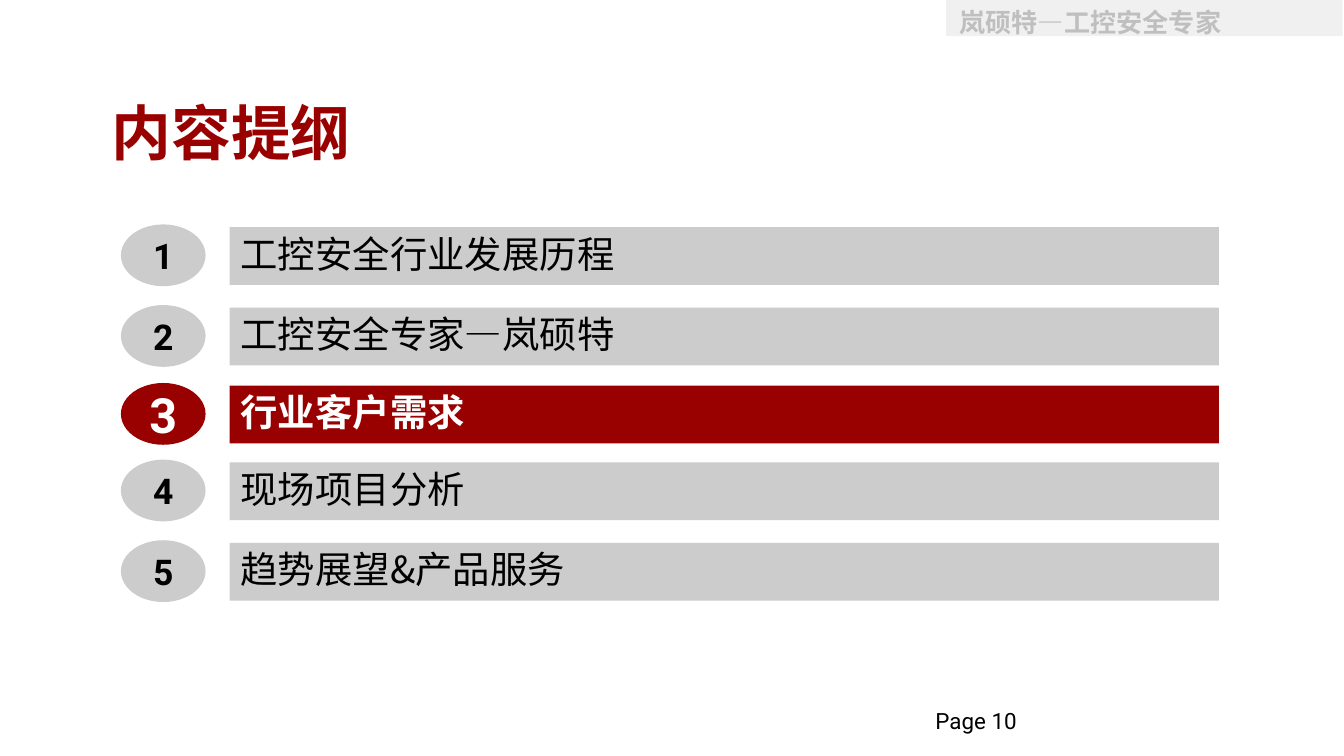
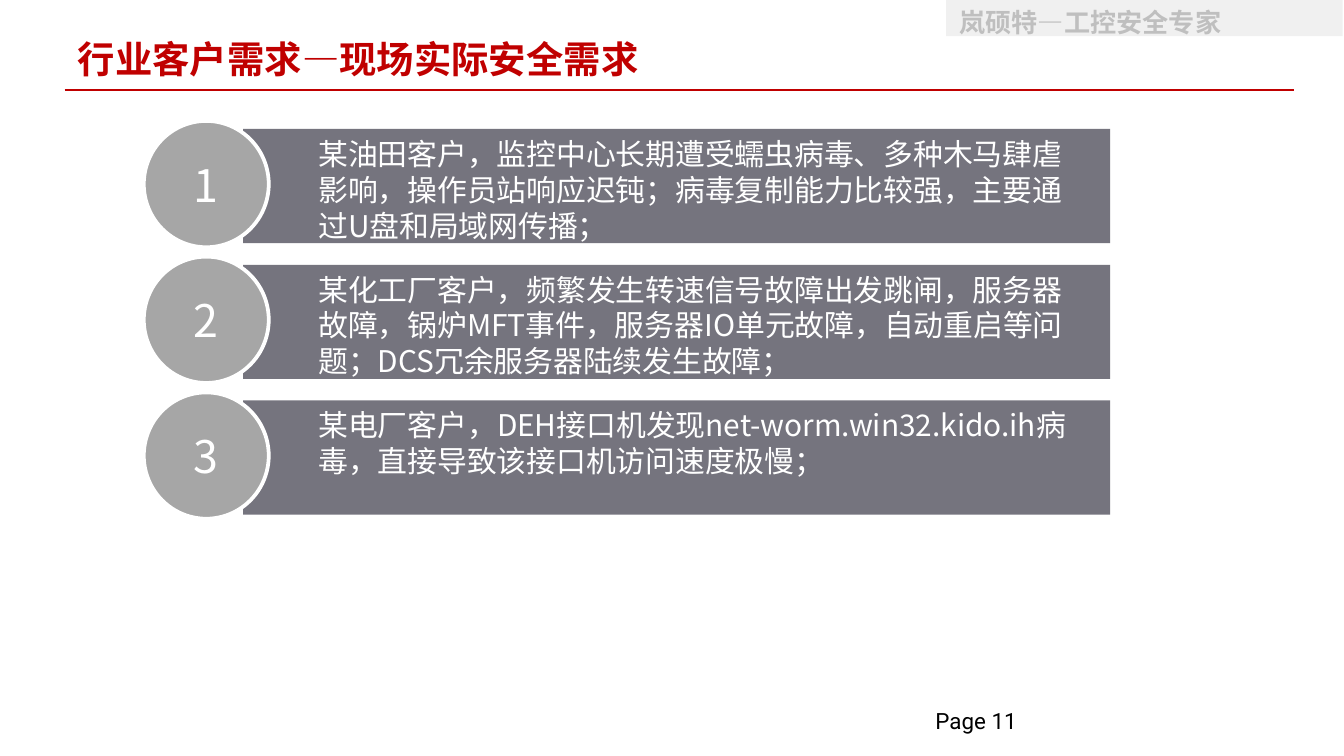
from dataclasses import dataclass

from lxml import etree
from pptx import Presentation
from pptx.dml.color import RGBColor
from pptx.enum.shapes import MSO_CONNECTOR, MSO_SHAPE
from pptx.enum.text import MSO_ANCHOR, PP_ALIGN
from pptx.oxml.ns import qn
from pptx.shapes.autoshape import Shape
from pptx.slide import Slide
from pptx.util import Inches, Pt

RECTANGLE, OVAL = MSO_SHAPE.RECTANGLE, MSO_SHAPE.OVAL
STRAIGHT = MSO_CONNECTOR.STRAIGHT
TOP, MIDDLE = MSO_ANCHOR.TOP, MSO_ANCHOR.MIDDLE
LEFT, CENTER = PP_ALIGN.LEFT, PP_ALIGN.CENTER

SLIDE_WIDTH = 10
SLIDE_HEIGHT = SLIDE_WIDTH * 9 / 16
CJK, LATIN = "Noto Sans CJK SC", "Roboto"
COLORS = {
    "black": "000000",
    "white": "FFFFFF",
    "dark_red": "990000",
    "red": "C00000",
    "agenda_gray": "CCCCCC",
    "banner": "F0F0F0",
    "banner_text": "BFBFBF",
    "case_bar": "75747E",
    "case_badge": "A6A6A6",
}
BANNER_TEXT = "岚硕特—工控安全专家"
AGENDA = {
    "工控安全行业发展历程": 1.69,
    "工控安全专家—岚硕特": 2.29,
    "行业客户需求": 2.87,
    "现场项目分析": 3.44,
    "趋势展望&产品服务": 4.04,
}
CURRENT_TOPIC = 3
CASES = [
    "某油田客户，监控中心长期遭受蠕虫病毒、多种木马肆虐影响，操作员站响应迟钝；病毒复制能力比较强，主要通过U盘和局域网传播；",
    "某化工厂客户，频繁发生转速信号故障出发跳闸，服务器故障，锅炉MFT事件，服务器IO单元故障，自动重启等问题；DCS冗余服务器陆续发生故障；",
    "某电厂客户，DEH接口机发现net-worm.win32.kido.ih病毒，直接导致该接口机访问速度极慢；",
]
FIRST_CASE_TOP, CASE_PITCH = 0.96, 1.01


@dataclass(frozen=True)
class Box:
    left: float
    top: float
    width: float
    height: float

    def lengths(self) -> list[Inches]:
        return [Inches(side) for side in (self.left, self.top, self.width, self.height)]


@dataclass(frozen=True)
class TextStyle:
    size: int
    color: str
    font: str = CJK
    bold: bool = False
    align: PP_ALIGN = LEFT
    anchor: MSO_ANCHOR = TOP
    insets: tuple[float, float, float, float] = (0.1, 0.05, 0.1, 0.05)
    wrap: bool = True
    line_spacing: float = 1.0


AGENDA_INSETS = (0.08, 0.04, 0.08, 0.04)
BANNER_STYLE = TextStyle(14, "banner_text", bold=True)
PAGE_STYLE = TextStyle(12, "black", LATIN, insets=(0, 0, 0, 0), line_spacing=0.85)
AGENDA_TITLE_STYLE = TextStyle(32, "dark_red", bold=True, anchor=MIDDLE, insets=(0, 0.04, 0.09, 0.04))
CASE_TITLE_STYLE = TextStyle(20, "red", bold=True)
CASE_NUMBER_STYLE = TextStyle(24, "white", align=CENTER, anchor=MIDDLE)
CASE_TEXT_STYLE = TextStyle(16, "white")


def rgb(color: str) -> RGBColor:
    return RGBColor.from_string(COLORS[color])


def write_text(shape: Shape, text: str, style: TextStyle) -> None:
    frame = shape.text_frame
    frame.text = text
    frame.word_wrap = style.wrap
    frame.vertical_anchor = style.anchor
    frame.margin_left, frame.margin_top, frame.margin_right, frame.margin_bottom = map(Inches, style.insets)
    paragraph = frame.paragraphs[0]
    paragraph.alignment = style.align
    paragraph.line_spacing = style.line_spacing
    run = paragraph.runs[0]
    run.font.size = Pt(style.size)
    run.font.bold = style.bold
    run.font.color.rgb = rgb(style.color)
    run.font.name = style.font
    east_asian = etree.SubElement(run.font._element, qn("a:ea"))
    east_asian.set("typeface", style.font)


def add_text(shapes, box: Box, text: str, style: TextStyle) -> None:
    write_text(shapes.add_textbox(*box.lengths()), text, style)


def add_filled(shapes, kind: MSO_SHAPE, box: Box, fill: str) -> Shape:
    """Add a flat preset shape without an outline."""
    shape = shapes.add_shape(kind, *box.lengths())
    shape.shadow.inherit = False
    shape.fill.solid()
    shape.fill.fore_color.rgb = rgb(fill)
    shape.line.fill.background()
    return shape


def add_page(presentation: Presentation, number: int) -> Slide:
    """Add a blank slide carrying the shared banner and page number."""
    slide = presentation.slides.add_slide(presentation.slide_layouts[6])
    add_text(slide.shapes, Box(6.96, 5.29, 2.29, 0.37), f"Page {number}", PAGE_STYLE)
    banner = add_filled(slide.shapes, RECTANGLE, Box(7.04, 0, 2.95, 0.27), "banner")
    write_text(banner, BANNER_TEXT, BANNER_STYLE)
    return slide


def add_topic(slide: Slide, number: int, topic: str, top: float) -> None:
    current = number == CURRENT_TOPIC
    fill, color = ("dark_red", "white") if current else ("agenda_gray", "black")
    bar = add_filled(slide.shapes, RECTANGLE, Box(1.71, top, 7.36, 0.43), fill)
    write_text(bar, topic, TextStyle(20, color, bold=current, anchor=MIDDLE,
                                     insets=AGENDA_INSETS, wrap=False, line_spacing=0.9))
    badge = add_filled(slide.shapes, OVAL, Box(0.9, top - 0.02, 0.63, 0.46), fill)
    write_text(badge, str(number), TextStyle(26 if current else 19, color, LATIN, True,
                                             CENTER, MIDDLE, AGENDA_INSETS, False))


def add_case(slide: Slide, number: int, text: str, top: float) -> None:
    group = slide.shapes.add_group_shape()
    add_filled(group.shapes, RECTANGLE, Box(1.81, top, 6.45, 0.85), "case_bar")
    badge = add_filled(group.shapes, OVAL, Box(1.07, top - 0.06, 0.93, 0.94), "case_badge")
    badge.line.color.rgb = rgb("white")
    badge.line.width = Pt(2)
    write_text(badge, str(number), CASE_NUMBER_STYLE)
    add_text(group.shapes, Box(2.27, top, 5.93, 0.9), text, CASE_TEXT_STYLE)


def add_title_rule(slide: Slide) -> None:
    rule = slide.shapes.add_connector(STRAIGHT, Inches(0.48), Inches(0.67), Inches(9.63), Inches(0.67))
    rule.line.color.rgb = rgb("red")
    rule.line.width = Pt(1)
    etree.SubElement(rule._element.spPr, qn("a:effectLst"))


def build_agenda(presentation: Presentation) -> None:
    slide = add_page(presentation, 10)
    add_text(slide.shapes, Box(0.83, 0.58, 8.35, 0.8), "内容提纲", AGENDA_TITLE_STYLE)
    for number, (topic, top) in enumerate(AGENDA.items(), start=1):
        add_topic(slide, number, topic, top)


def build_cases(presentation: Presentation) -> None:
    slide = add_page(presentation, 11)
    add_title_rule(slide)
    add_text(slide.shapes, Box(0.48, 0.22, 8.26, 0.44), "行业客户需求—现场实际安全需求", CASE_TITLE_STYLE)
    for index, text in enumerate(CASES):
        add_case(slide, index + 1, text, FIRST_CASE_TOP + index * CASE_PITCH)


def main() -> None:
    presentation = Presentation()
    presentation.slide_width = Inches(SLIDE_WIDTH)
    presentation.slide_height = Inches(SLIDE_HEIGHT)
    build_agenda(presentation)
    build_cases(presentation)
    presentation.save("out.pptx")


if __name__ == "__main__":
    main()
